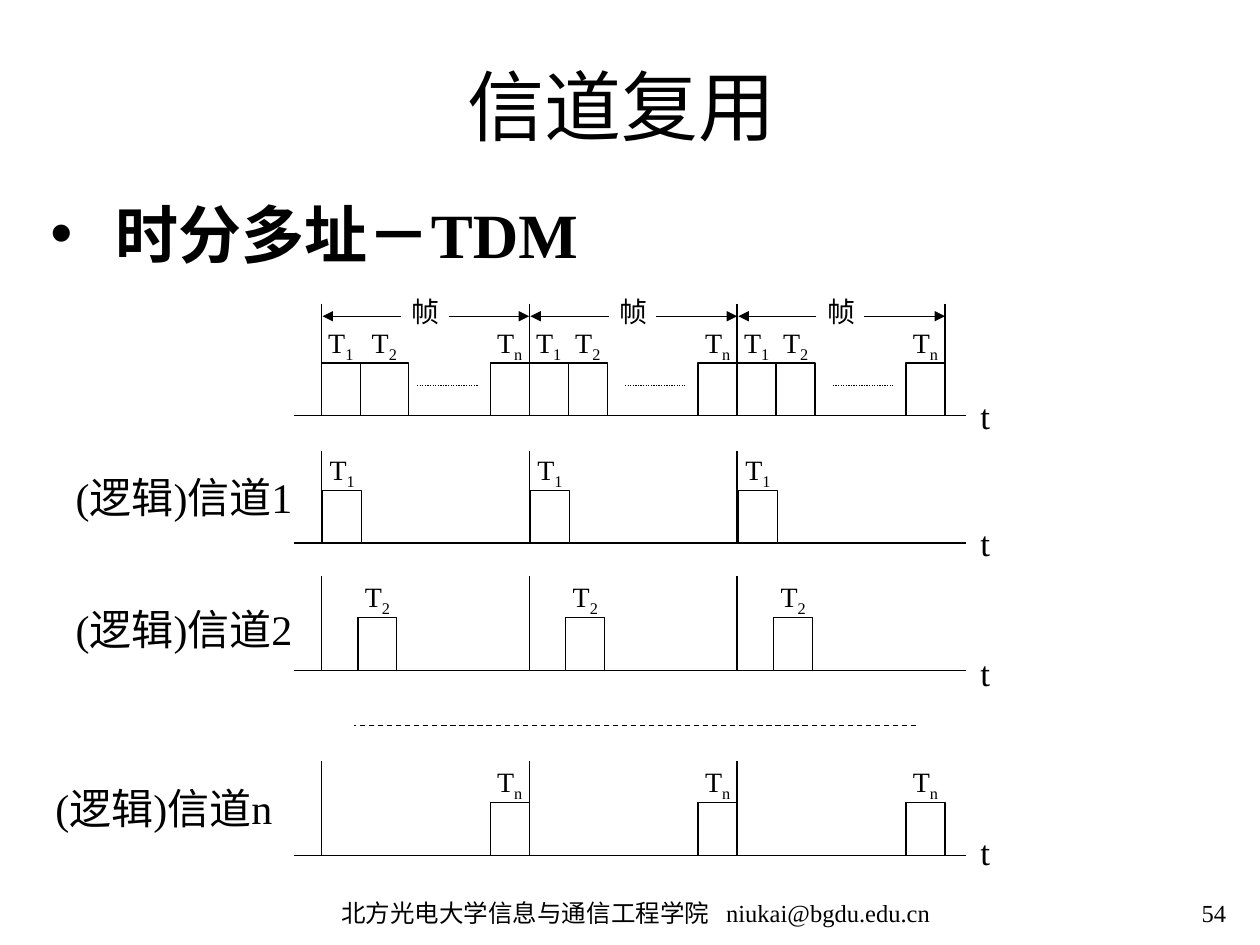
from lxml.etree import SubElement
from pptx import Presentation
from pptx.dml.color import RGBColor
from pptx.enum.dml import MSO_LINE
from pptx.enum.shapes import MSO_CONNECTOR, MSO_SHAPE
from pptx.enum.text import MSO_ANCHOR, PP_ALIGN
from pptx.oxml.ns import qn
from pptx.util import Inches, Pt

BLACK = RGBColor(0, 0, 0)
LATIN, CJK = "Times New Roman", "Noto Sans CJK SC"

TITLE = "信道复用 "
HEADING = "时分多址－TDM"
FOOTER = "北方光电大学信息与通信工程学院   niukai@bgdu.edu.cn"
PAGE = "54"
FRAME_NAME = "帧"

FRAMES = 3
FRAME_LEFT, FRAME_WIDTH = 2.55, 1.65
SLOT_WIDTH, SLOT_HEIGHT = 0.31, 0.42
FIRST_T2_WIDTH = 0.38
AXIS_LEFT, AXIS_RIGHT = 2.33, 7.67
ARROW_Y, GAP_Y, OMITTED_Y = 2.51, 3.06, 5.76
LAST_SLOT = FRAME_WIDTH - SLOT_WIDTH

TIMELINES = [
    {"top": 2.41, "axis": 3.3, "t_top": 3.13,
     "slots": [("1", 0), ("2", SLOT_WIDTH), ("n", LAST_SLOT)]},
    {"top": 3.58, "axis": 4.31, "t_top": 4.14, "slots": [("1", 0.01)],
     "channel": ("(逻辑)信道1", 0.58, 3.73)},
    {"top": 4.57, "axis": 5.32, "t_top": 5.17, "slots": [("2", 0.29)],
     "channel": ("(逻辑)信道2", 0.58, 4.78)},
    {"top": 6.04, "axis": 6.79, "t_top": 6.59, "slots": [("n", LAST_SLOT)],
     "channel": ("(逻辑)信道n", 0.42, 6.2)},
]

prs = Presentation()
prs.slide_width, prs.slide_height = Inches(10), Inches(7.5)
slide = prs.slides.add_slide(prs.slide_layouts[5])


def write(frame, text, size=16, sub="", font=LATIN, bold=False,
          align=PP_ALIGN.CENTER, anchor=MSO_ANCHOR.TOP, inset=(0, 0),
          hang=0, bullet=""):
    frame.word_wrap = True
    frame.vertical_anchor = anchor
    frame.margin_left = frame.margin_right = Inches(inset[0])
    frame.margin_top = frame.margin_bottom = Inches(inset[1])
    paragraph = frame.paragraphs[0]
    paragraph.alignment = align
    if hang:
        properties = paragraph._p.get_or_add_pPr()
        properties.set("marL", str(Inches(hang)))
        properties.set("indent", str(-Inches(hang)))
        if bullet:
            SubElement(properties, qn("a:buFont"), typeface="Arial")
            SubElement(properties, qn("a:buChar"), char=bullet)
    for part, offset in ((text, None), (sub, "-25000")):
        if part:
            run = paragraph.add_run()
            run.text = part
            run.font.size, run.font.bold = Pt(size), bold
            run.font.name = font
            run.font.color.rgb = BLACK
            run_properties = run._r.get_or_add_rPr()
            SubElement(run_properties, qn("a:ea"), typeface=CJK)
            if offset:
                run_properties.set("baseline", offset)


def add_text(left, top, width, height, text, **style):
    box = slide.shapes.add_textbox(*map(Inches, (left, top, width, height)))
    write(box.text_frame, text, **style)


def add_line(x1, y1, x2, y2, dash=None, arrow=False):
    line = slide.shapes.add_connector(
        MSO_CONNECTOR.STRAIGHT, *map(Inches, (x1, y1, x2, y2)))
    line.line.color.rgb, line.line.width = BLACK, Pt(0.75)
    if dash:
        line.line.dash_style = dash
    if arrow:
        SubElement(line.line._get_or_add_ln(), qn("a:tailEnd"), type="triangle")
    SubElement(line._element.spPr, qn("a:effectLst"))


def add_slot(left, axis, width, index):
    top = axis - SLOT_HEIGHT
    slot = slide.shapes.add_shape(
        MSO_SHAPE.RECTANGLE, *map(Inches, (left, top, width, SLOT_HEIGHT)))
    slot.shadow.inherit = False
    slot.fill.background()
    slot.line.color.rgb, slot.line.width = BLACK, Pt(0.75)
    add_text(left + 0.03, top - 0.3, width - 0.06, 0.29, "T", sub=index)


title = slide.shapes.title
title.left, title.top, title.width, title.height = map(
    Inches, (0.75, 0.17, 8.5, 1.08))
write(title.text_frame, TITLE, size=44, font=CJK,
      anchor=MSO_ANCHOR.BOTTOM, inset=(0.1, 0.05))

add_text(0, 1.5, 9.58, 0.8, HEADING, size=36, bold=True, align=PP_ALIGN.LEFT,
         inset=(0.4, 0.05), hang=0.52, bullet="•")

for row, timeline in enumerate(TIMELINES):
    axis = timeline["axis"]
    add_line(AXIS_LEFT, axis, AXIS_RIGHT, axis)
    add_text(AXIS_RIGHT, timeline["t_top"], 0.3, 0.32, "t", size=20)
    for frame in range(FRAMES):
        start = FRAME_LEFT + frame * FRAME_WIDTH
        add_line(start, timeline["top"], start, axis)
        for index, offset in timeline["slots"]:
            wide = row == 0 and frame == 0 and index == "2"
            add_slot(start + offset, axis,
                     FIRST_T2_WIDTH if wide else SLOT_WIDTH, index)
    if "channel" in timeline:
        name, left, top = timeline["channel"]
        add_text(left, top, 1.83, 0.82, name, size=24, align=PP_ALIGN.LEFT,
                 inset=(0.02, 0.01), hang=0.38)

for frame in range(FRAMES):
    start = FRAME_LEFT + frame * FRAME_WIDTH
    end = start + FRAME_WIDTH
    add_line(start + 0.63, ARROW_Y, start + 0.01, ARROW_Y, arrow=True)
    add_line(end - 0.64, ARROW_Y, end, ARROW_Y, arrow=True)
    add_text(start + 0.68, 2.34, 0.3, 0.32, FRAME_NAME)
    add_line(start + 0.76, GAP_Y, start + 1.24, GAP_Y, dash=MSO_LINE.ROUND_DOT)

last_end = FRAME_LEFT + FRAMES * FRAME_WIDTH
add_line(last_end, TIMELINES[0]["top"], last_end, TIMELINES[0]["axis"])
add_line(7.27, OMITTED_Y, 2.81, OMITTED_Y, dash=MSO_LINE.DASH)

add_text(2.42, 7.08, 5.25, 0.33, FOOTER, size=14, inset=(0.1, 0.05))
add_text(7.75, 7.08, 2.08, 0.33, PAGE, size=14, align=PP_ALIGN.RIGHT,
         inset=(0.1, 0.05))

prs.save("out.pptx")
